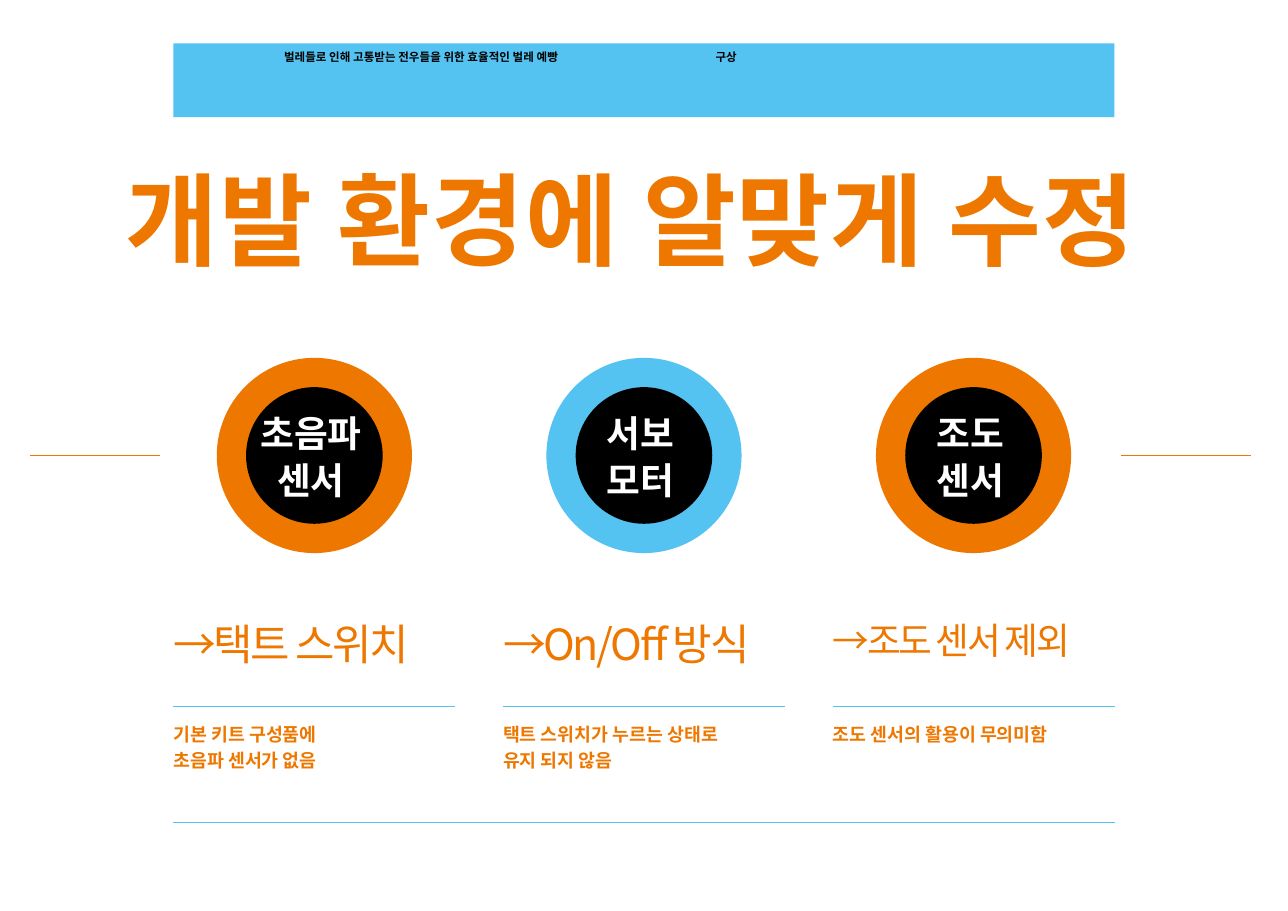
from lxml.etree import SubElement
from pptx import Presentation
from pptx.dml.color import RGBColor as Rgb
from pptx.enum.shapes import MSO_CONNECTOR as Link, MSO_SHAPE as Kind
from pptx.enum.text import MSO_ANCHOR as Anchor, MSO_AUTO_SIZE as Fit, PP_ALIGN as Align
from pptx.oxml.ns import qn
from pptx.util import Cm, Pt

FONT = "Noto Sans CJK KR"
HUES = {"sky": "54C3F1", "orange": "EE7700", "black": "000000", "white": "FFFFFF"}
LEFT, WIDE, STEP = 4, 6.5, 7.6
SPAN = 2 * STEP + WIDE
COLUMNS = [
    ("초음파\n센서", "orange", "→택트 스위치", 28, "기본 키트 구성품에\n초음파 센서가 없음"),
    ("서보\n모터", "sky", "→On/Off 방식", 28, "택트 스위치가 누르는 상태로\n유지 되지 않음"),
    ("조도\n센서", "orange", "→조도 센서 제외", 24, "조도 센서의 활용이 무의미함"),
]


def hue(name):
    """Return the named colour."""
    return Rgb.from_string(HUES[name])


def place(shape, x, y, w, h):
    """Move and size a shape, in centimetres."""
    shape.left, shape.top, shape.width, shape.height = map(Cm, (x, y, w, h))


def write(shape, text, size, color, bold=True, before=0, track=0,
          align=Align.LEFT, anchor=Anchor.TOP, lead=None):
    """Fill a text shape, one paragraph for each line."""
    frame = shape.text_frame
    frame.word_wrap, frame.auto_size = True, Fit.NONE
    frame.vertical_anchor = anchor
    frame.margin_left = frame.margin_right = frame.margin_top = frame.margin_bottom = 0
    frame.text = text
    for para in frame.paragraphs:
        para.alignment, para.space_before, para.line_spacing = align, Pt(before), lead
        font = para.font
        font.size, font.bold, font.name = Pt(size), bold, FONT
        font.color.rgb = hue(color)
        props = font._rPr
        SubElement(props, qn("a:ea")).set("typeface", FONT)
        props.set("spc", str(round(track * 100)))


def label(slide, box, *args, **style):
    """Add a text box."""
    write(slide.shapes.add_textbox(*map(Cm, box)), *args, **style)


def solid(slide, kind, box, color):
    """Add a plain filled shape."""
    shape = slide.shapes.add_shape(kind, *map(Cm, box))
    shape.shadow.inherit = False
    shape.fill.solid()
    shape.fill.fore_color.rgb = hue(color)
    shape.line.fill.background()


def rule(slide, x, y, w, color):
    """Draw a thin level line."""
    line = slide.shapes.add_connector(Link.STRAIGHT, Cm(x), Cm(y), Cm(x + w), Cm(y))
    line.line.color.rgb, line.line.width = hue(color), Pt(0.5)
    SubElement(line._element.spPr, qn("a:effectLst"))


def header(slide, x, y, w, h):
    """Draw the top band with its two captions."""
    solid(slide, Kind.RECTANGLE, (x, y, w, h), "sky")
    captions = [(2.55, 7.2, "벌레들로 인해 고통받는 전우들을 위한 효율적인 벌레 예빵"), (12.5, 9.2, "구상")]
    for dx, wide, text in captions:
        label(slide, (x + dx, y + 0.15, wide, 0.7), text, 7.5, "black", before=1.5)


def heading(slide, x, y, w, h):
    """Set the slide title."""
    title = slide.shapes.title
    place(title, x, y, w, h)
    write(title, "개발 환경에 알맞게 수정", 66, "orange", before=4.5, track=0.7, lead=0.88)


def badge(slide, x, y, size, text, color):
    """Draw a ring around a black disc with a name."""
    rim = 0.15 * size
    core = size - 2 * rim
    solid(slide, Kind.OVAL, (x, y, size, size), color)
    solid(slide, Kind.OVAL, (x + rim, y + rim, core, core), "black")
    label(slide, (x + rim - 0.08, y + rim + 0.02, core, core), text, 24, "white", before=2.2,
          align=Align.CENTER, anchor=Anchor.MIDDLE)


def column(slide, x, y, w, name, color, change, size, reason):
    """Draw one part: its badge, the change and the reason."""
    badge(slide, x + 1, y, 4.5, name, color)
    label(slide, (x, y + 6, w, 1.7), change, size, "orange", bold=False,
          before=8.2, track=-1.5)
    rule(slide, x, y + 8.03, w, "sky")
    label(slide, (x, y + 8.43, w, 1.7), reason, 12, "orange", before=2.5)


def build():
    """Build and save the slide."""
    deck = Presentation()
    deck.slide_width, deck.slide_height = Cm(29.7), Cm(21)
    slide = deck.slides.add_slide(deck.slide_layouts[5])
    header(slide, LEFT, 1, SPAN, 1.7)
    heading(slide, 2.9, 4, 23.9, 3.5)
    for i, part in enumerate(COLUMNS):
        column(slide, LEFT + i * STEP, 8.25, WIDE, *part)
    for x in (0.7, 25.85):
        rule(slide, x, 10.5, 3, "orange")
    rule(slide, LEFT, 18.95, SPAN, "sky")
    deck.save("out.pptx")


build()
